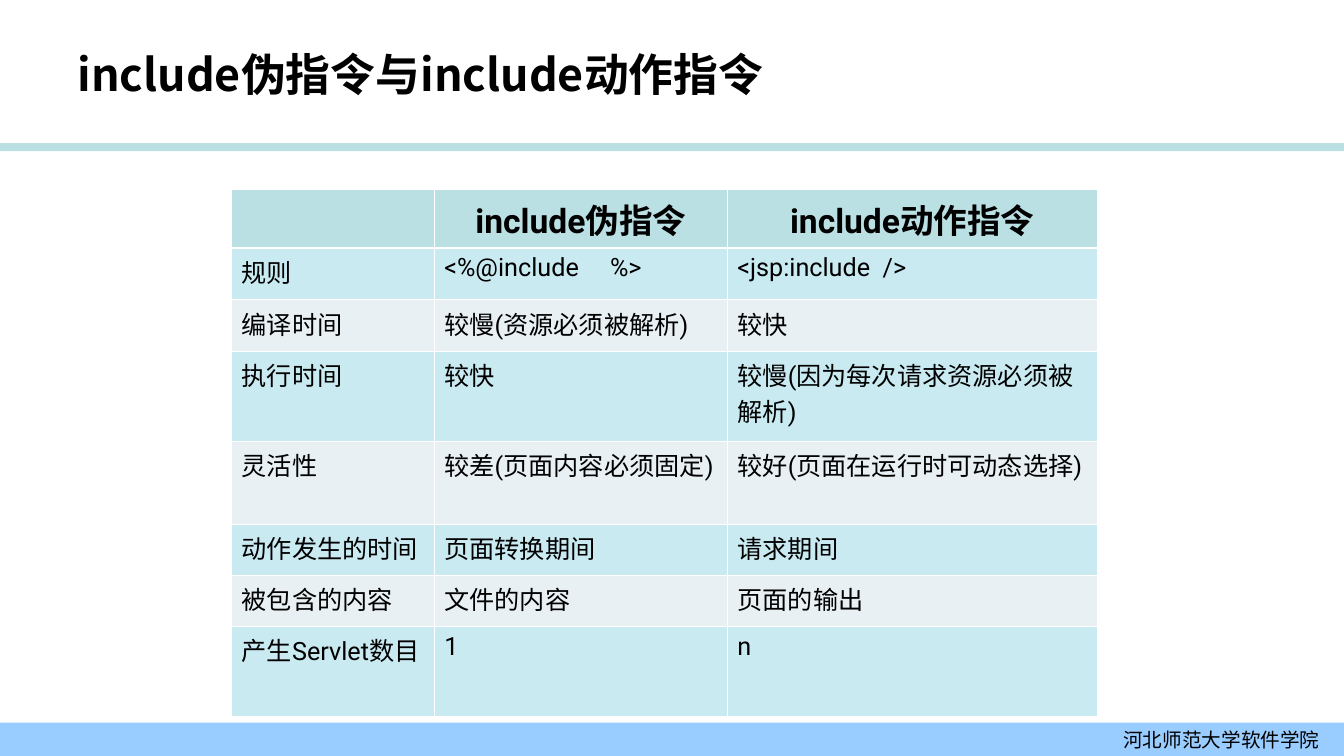
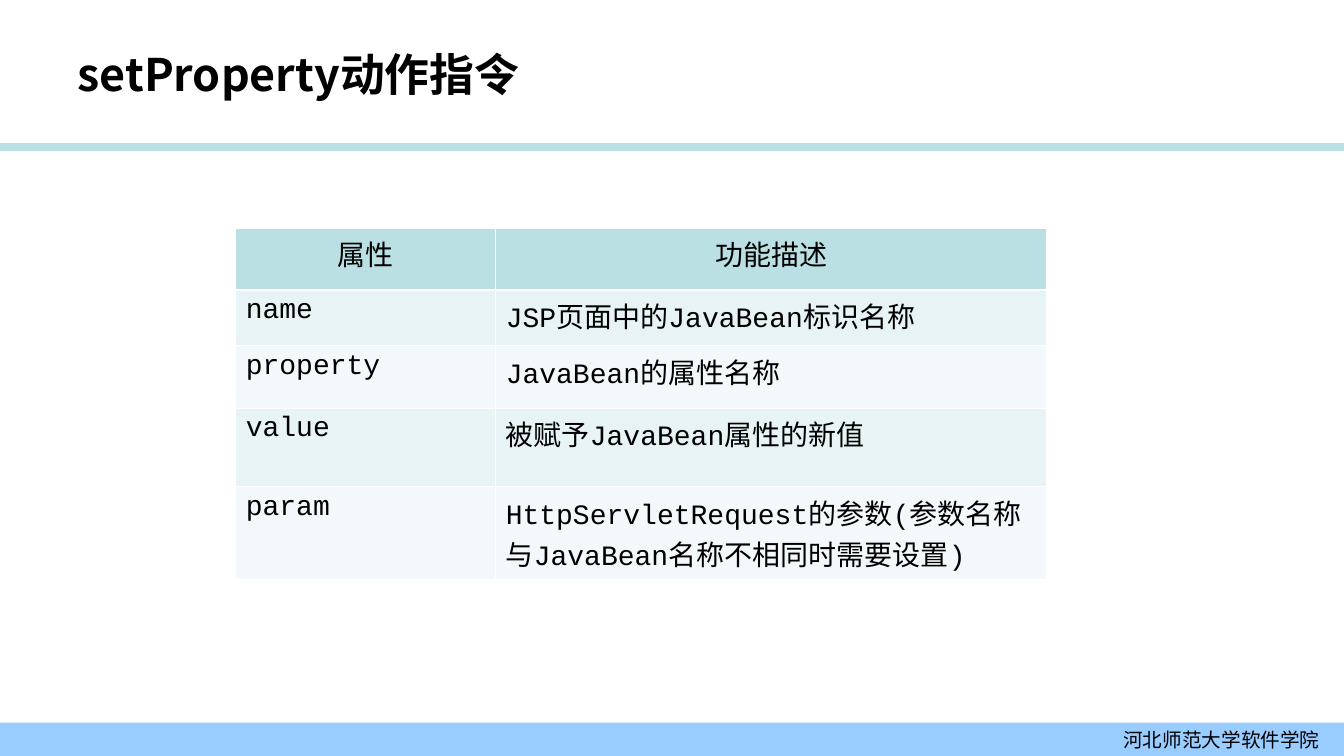
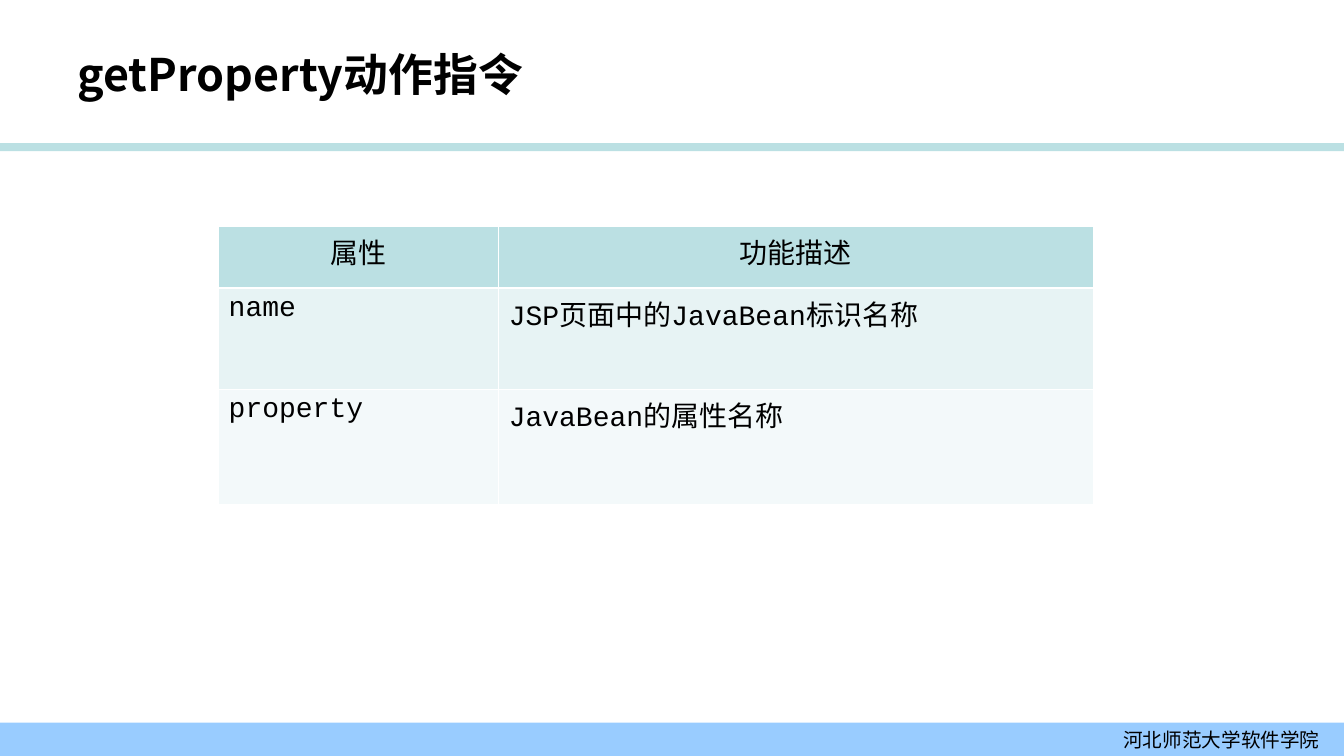
from dataclasses import dataclass

import pptx
import pptx.dml.color
import pptx.enum.shapes
import pptx.enum.text
import pptx.oxml
import pptx.oxml.ns
import pptx.util
from pptx.util import Inches

Align = pptx.enum.text.PP_ALIGN
Anchor = pptx.enum.text.MSO_ANCHOR


@dataclass(frozen=True)
class Theme:
    ink: str = "000000"
    white: str = "FFFFFF"
    teal: str = "BBE0E3"
    blue: str = "99CCFF"
    aqua: tuple = ("CAEAF2", "E8F0F4")
    mint: tuple = ("E7F3F4", "F3F9FA")
    sans: str = "Noto Sans CJK SC"
    body: str = "Roboto"
    mono: str = "Courier New"
    title: int = 32
    head: int = 24
    code: int = 20
    cell: int = 18
    foot: int = 14
    thin: float = 0.45
    thick: float = 1.47


@dataclass(frozen=True)
class Grid:
    left: float
    top: float
    cols: tuple
    highs: tuple
    rows: tuple
    bands: tuple
    font: str
    size: int
    head: int
    bold: bool = False


@dataclass(frozen=True)
class Page:
    title: str
    grid: Grid


THEME = Theme()
WIDTH, HEIGHT = 13.34, 7.5
HEAD = ("属性", "功能描述")
NAME = ("name", "JSP页面中的JavaBean标识名称")
PROP = ("property", "JavaBean的属性名称")

PAGES = (
    Page("include伪指令与include动作指令", Grid(
        2.3, 1.88, (2.01, 2.91, 3.67),
        (0.57, 0.51, 0.51, 0.89, 0.82, 0.51, 0.51, 0.89),
        (
            ("", "include伪指令", "include动作指令"),
            ("规则", "<%@include     %>", "<jsp:include  />"),
            ("编译时间", "较慢(资源必须被解析)", "较快"),
            ("执行时间", "较快", "较慢(因为每次请求资源必须被解析)"),
            ("灵活性", "较差(页面内容必须固定)", "较好(页面在运行时可动态选择)"),
            ("动作发生的时间", "页面转换期间", "请求期间"),
            ("被包含的内容", "文件的内容", "页面的输出"),
            ("产生Servlet数目", "1", "n"),
        ),
        THEME.aqua, THEME.body, THEME.cell, THEME.head, True)),
    Page("setProperty动作指令", Grid(
        2.34, 2.26, (2.58, 5.47), (0.62, 0.55, 0.62, 0.78, 0.9),
        (
            HEAD, NAME, PROP,
            ("value", "被赋予JavaBean属性的新值"),
            ("param", "HttpServletRequest的参数(参数名称与JavaBean名称不相同时需要设置)"),
        ),
        THEME.mint, THEME.mono, THEME.code, THEME.code)),
    Page("getProperty动作指令", Grid(
        2.17, 2.24, (2.78, 5.9), (0.62, 1, 1.14), (HEAD, NAME, PROP),
        THEME.mint, THEME.mono, THEME.code, THEME.code)),
)


def tint(code: str) -> pptx.dml.color.RGBColor:
    return pptx.dml.color.RGBColor.from_string(code)


def write(frame, text: str, *, size: int, font: str = THEME.sans,
          bold: bool = False, align=Align.LEFT) -> None:
    para = frame.paragraphs[0]
    para.alignment = align
    run = para.add_run()
    run.text = text
    run.font.name = font
    run.font.size = pptx.util.Pt(size)
    run.font.bold = bold
    run.font.color.rgb = tint(THEME.ink)
    east = pptx.oxml.parse_xml(
        f'<a:ea {pptx.oxml.ns.nsdecls("a")} typeface="{THEME.sans}"/>')
    run.font._element.find(pptx.oxml.ns.qn("a:latin")).addnext(east)


def band(slide, top: float, high: float, fill: str):
    shape = slide.shapes.add_shape(
        pptx.enum.shapes.MSO_SHAPE.RECTANGLE,
        0, Inches(top), Inches(WIDTH), Inches(high))
    shape.shadow.inherit = False
    shape.fill.solid()
    shape.fill.fore_color.rgb = tint(fill)
    shape.line.fill.background()
    return shape


def set_up(layout, slide) -> None:
    for holder in list(layout.placeholders)[1:]:
        holder.element.getparent().remove(holder.element)
    title = layout.placeholders[0]
    title.left, title.top = Inches(0.67), Inches(0.3)
    title.width, title.height = Inches(10.67), Inches(0.87)
    rule = band(slide, 1.42, 0.08, THEME.teal)
    foot = band(slide, 7.17, 0.33, THEME.blue)
    frame = foot.text_frame
    frame.word_wrap = True
    frame.vertical_anchor = Anchor.MIDDLE
    frame.margin_right = Inches(0.24)
    write(frame, "河北师范大学软件学院", size=THEME.foot, align=Align.RIGHT)
    for shape in (rule, foot):
        layout.element.cSld.spTree.append(shape.element)


def edge(cell, row: int) -> None:
    props = cell._tc.get_or_add_tcPr()
    for side in "LRTB":
        thick = (row, side) in ((0, "B"), (1, "T"))
        width = pptx.util.Pt(THEME.thick if thick else THEME.thin)
        props.append(pptx.oxml.parse_xml(
            f'<a:ln{side} {pptx.oxml.ns.nsdecls("a")} w="{width}"><a:solidFill>'
            f'<a:srgbClr val="{THEME.white}"/></a:solidFill></a:ln{side}>'))


def draw(slide, grid: Grid) -> None:
    table = slide.shapes.add_table(
        len(grid.rows), len(grid.cols), Inches(grid.left), Inches(grid.top),
        Inches(sum(grid.cols)), Inches(sum(grid.highs))).table
    table.horz_banding = False
    for col, width in zip(table.columns, grid.cols):
        col.width = Inches(width)
    for row, (high, texts) in enumerate(zip(grid.highs, grid.rows)):
        table.rows[row].height = Inches(high)
        top = row == 0
        fill = THEME.teal if top else grid.bands[(row - 1) % 2]
        for col, text in enumerate(texts):
            cell = table.cell(row, col)
            edge(cell, row)
            cell.fill.solid()
            cell.fill.fore_color.rgb = tint(fill)
            if text:
                write(cell.text_frame, text, font=grid.font,
                      size=grid.head if top else grid.size,
                      bold=top and grid.bold,
                      align=Align.CENTER if top else Align.LEFT)


def main() -> None:
    deck = pptx.Presentation()
    deck.slide_width, deck.slide_height = Inches(WIDTH), Inches(HEIGHT)
    layout = deck.slide_layouts[5]
    for index, page in enumerate(PAGES):
        slide = deck.slides.add_slide(layout)
        if index == 0:
            set_up(layout, slide)
        frame = slide.shapes.title.text_frame
        frame.vertical_anchor = Anchor.MIDDLE
        frame.auto_size = pptx.enum.text.MSO_AUTO_SIZE.NONE
        write(frame, page.title, size=THEME.title, bold=True)
        draw(slide, page.grid)
    deck.save("out.pptx")


if __name__ == "__main__":
    main()
